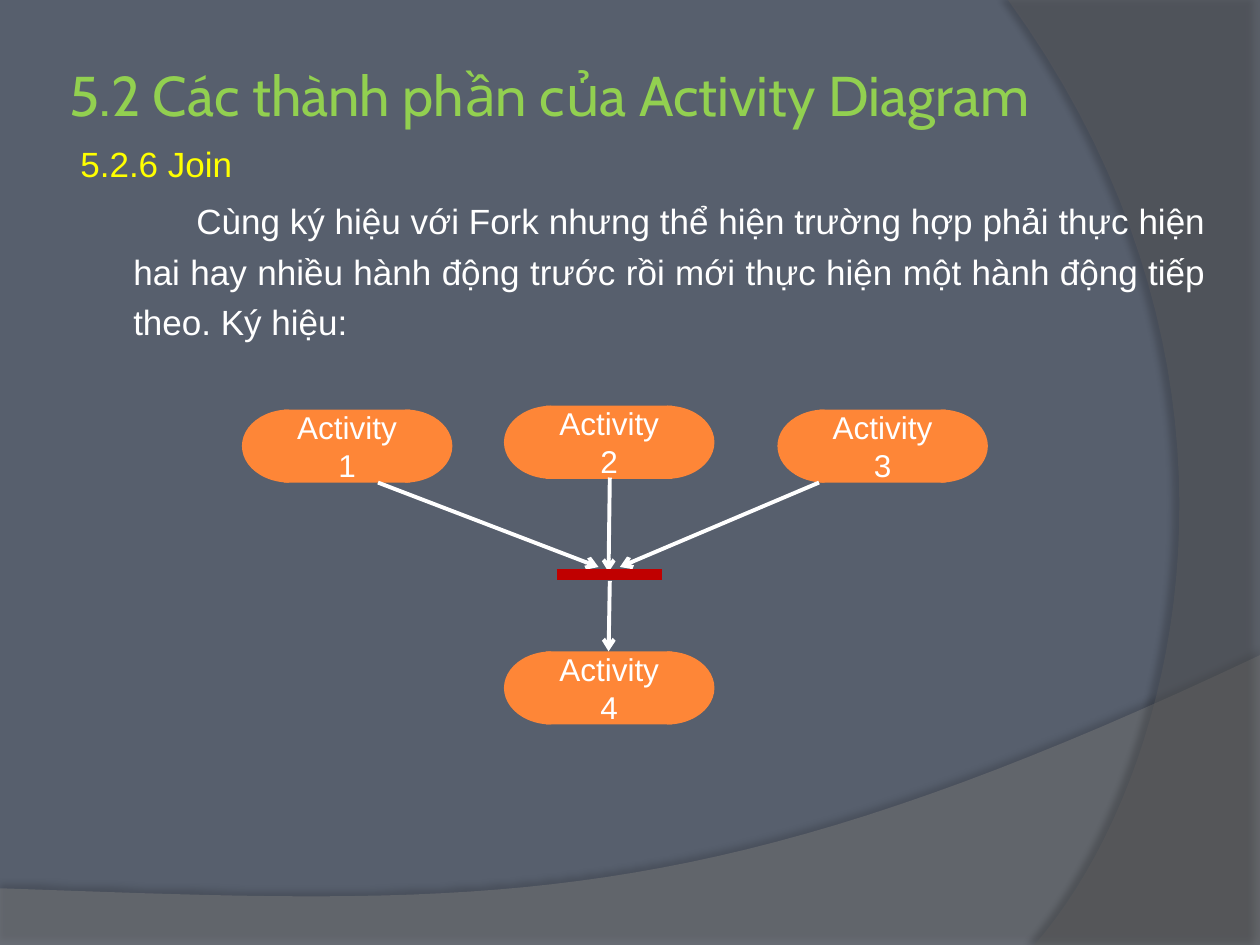
from lxml import etree
from pptx import Presentation
from pptx.dml.color import RGBColor
from pptx.enum.shapes import MSO_CONNECTOR, MSO_SHAPE
from pptx.enum.text import MSO_ANCHOR, PP_ALIGN
from pptx.oxml.ns import qn
from pptx.util import Inches, Pt

RECT, PIE, LINE = MSO_SHAPE.RECTANGLE, MSO_SHAPE.PIE, MSO_CONNECTOR.STRAIGHT
TOP, MIDDLE = MSO_ANCHOR.TOP, MSO_ANCHOR.MIDDLE
LEFT, CENTER, JUSTIFY = PP_ALIGN.LEFT, PP_ALIGN.CENTER, PP_ALIGN.JUSTIFY

COLORS = {"back": "575F6D", "wave": "7F7F7F", "side": "5E5E5E", "title": "92D050",
          "heading": "FFFF00", "white": "FFFFFF", "activity": "FE8637",
          "bar": "C00000", "black": "000000"}
TITLE = "5.2 Các thành phần của Activity Diagram"
HEADING = "5.2.6 Join"
BODY = ("Cùng ký hiệu với Fork nhưng thể hiện trường hợp phải thực hiện hai hay "
        "nhiều hành động trước rồi mới thực hiện một hành động tiếp theo. Ký hiệu: ")
ACTIVITIES = [("Activity 1", 1.92, 3.25), ("Activity 2", 4, 3.22),
              ("Activity 3", 6.17, 3.25), ("Activity 4", 4, 5.17)]
NODE_W, NODE_H, CAP_W, LABEL_W = 1.67, 0.58, 0.75, 1
ARROWS = [((4.84, 3.79), (4.83, 4.54)), ((6.5, 3.83), (4.92, 4.5)),
          ((3, 3.83), (4.75, 4.5)), ((4.84, 4.61), (4.83, 5.17))]
JOIN_BAR = ((4.42, 4.56), (5.25, 4.56))
WAVE_CURVE = [(10, 5.2), (5.59, 7.29), (3.91, 7.19), (0, 7.05)]
SIDE_CURVE = [(8.21, 7.5), (9.35, 6.19), (10.18, 3), (8, 0)]
CURVE_STEPS = 40

prs = Presentation()
prs.slide_width, prs.slide_height = Inches(10), Inches(7.5)
s = prs.slides.add_slide(prs.slide_layouts[6])


def rgb(name):
    return RGBColor.from_string(COLORS[name])


def sub(parent, tag, **attrs):
    return etree.SubElement(parent, qn(tag), {k: str(v) for k, v in attrs.items()})


def paint(sp, color):
    sp.shadow.inherit = False
    sp.fill.solid()
    sp.fill.fore_color.rgb = rgb(color)
    sp.line.fill.background()


def bezier(points):
    for i in range(CURVE_STEPS + 1):
        t = i / CURVE_STEPS
        weights = ((1 - t) ** 3, 3 * t * (1 - t) ** 2, 3 * t * t * (1 - t), t ** 3)
        yield tuple(sum(w * p[axis] for w, p in zip(weights, points)) for axis in (0, 1))


def add_swoosh(corners, curve, color, alpha, shadow_alpha, distance, direction):
    points = [(Inches(x), Inches(y)) for x, y in [*corners, *bezier(curve)]]
    builder = s.shapes.build_freeform(*points[0], scale=1.0)
    builder.add_line_segments(points[1:], close=True)
    sp = builder.convert_to_shape()
    paint(sp, color)
    props = sp.fill._xPr
    sub(props.find(qn("a:solidFill"))[0], "a:alpha", val=alpha * 1000)
    shadow = sub(props.find(qn("a:effectLst")), "a:outerShdw", blurRad=Pt(4),
                 dist=Pt(distance), dir=direction * 60000, algn="ctr", rotWithShape=0)
    tint = sub(shadow, "a:srgbClr", val=COLORS["black"])
    sub(tint, "a:alpha", val=shadow_alpha * 1000)


def write(p, text, size, color, font="Arial", align=LEFT):
    p.text = text
    p.alignment = align
    p.font.size, p.font.name, p.font.color.rgb = Pt(size), font, rgb(color)


def indent(p, margin, first):
    props = p._p.get_or_add_pPr()
    props.set("marL", str(Inches(margin)))
    props.set("indent", str(Inches(first)))


def add_text_box(x, y, w, h, anchor):
    tf = s.shapes.add_textbox(Inches(x), Inches(y), Inches(w), Inches(h)).text_frame
    tf.word_wrap, tf.vertical_anchor = True, anchor
    return tf


def add_activity(name, x, y):
    group = s.shapes.add_group_shape()

    def part(kind, left, width):
        sp = group.shapes.add_shape(kind, Inches(left), Inches(y), Inches(width), Inches(NODE_H))
        paint(sp, "activity")
        return sp

    label = part(RECT, x + (NODE_W - LABEL_W) / 2, LABEL_W)
    label.text_frame.word_wrap = True
    label.text_frame.vertical_anchor = MIDDLE
    write(label.text_frame.paragraphs[0], name, 18, "white", align=CENTER)
    for left, angles in ((x, (54, 162)), (x + NODE_W - CAP_W, (162, 54))):
        cap = part(PIE, left, CAP_W)
        cap.adjustments[0], cap.adjustments[1] = angles


def add_line(start, end, color, width, arrow=True):
    c = s.shapes.add_connector(LINE, *(Inches(v) for v in (*start, *end)))
    c.line.color.rgb, c.line.width = rgb(color), Pt(width)
    if arrow:
        sub(c.line._get_or_add_ln(), "a:tailEnd", type="arrow")
    sub(c._element.spPr, "a:effectLst")


s.background.fill.solid()
s.background.fill.fore_color.rgb = rgb("back")
add_swoosh([(0, 7.5), (10, 7.5)], WAVE_CURVE, "wave", 45, 35, 3.5, 270)
add_swoosh([(10, 0), (10, 7.5)], SIDE_CURVE, "side", 40, 45, 4, 180)

tf = add_text_box(0.5, 0.33, 9.08, 0.83, MIDDLE)
tf.margin_left = tf.margin_right = Inches(0.05)
write(tf.paragraphs[0], TITLE, 32, "title", "Cabin")

tf = add_text_box(0.5, 1.08, 9.17, 6.25, TOP)
heading, body = tf.paragraphs[0], tf.add_paragraph()
write(heading, HEADING, 20, "heading")
write(body, BODY, 20, "white", align=JUSTIFY)
indent(heading, 0.46, -0.42)
indent(body, 0.46, 0.5)
heading.space_before = body.space_before = Pt(4)
body.line_spacing = 1.2

for activity in ACTIVITIES:
    add_activity(*activity)
for start, end in ARROWS:
    add_line(start, end, "white", 2.25)
add_line(*JOIN_BAR, "bar", 6, arrow=False)

prs.save("out.pptx")
